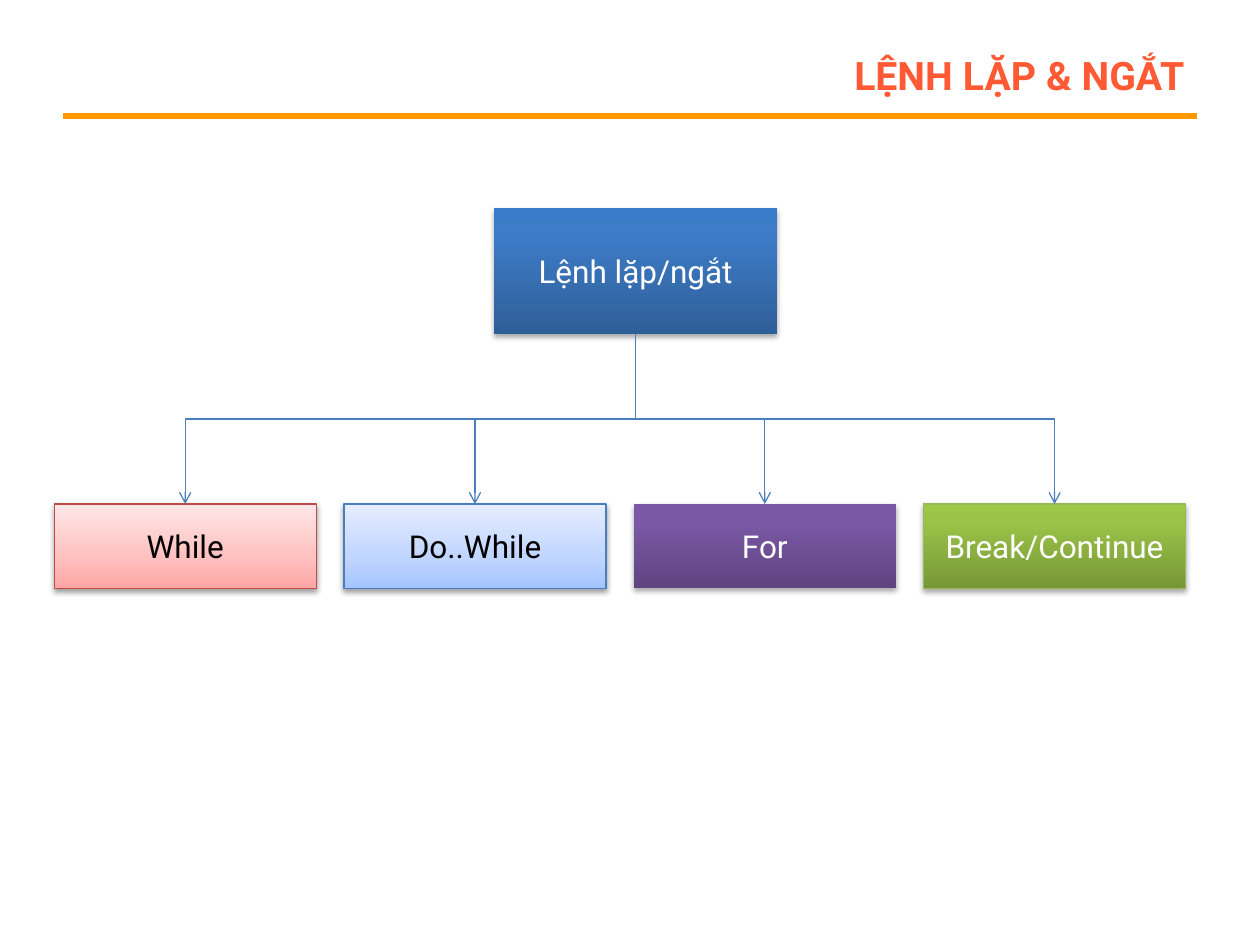
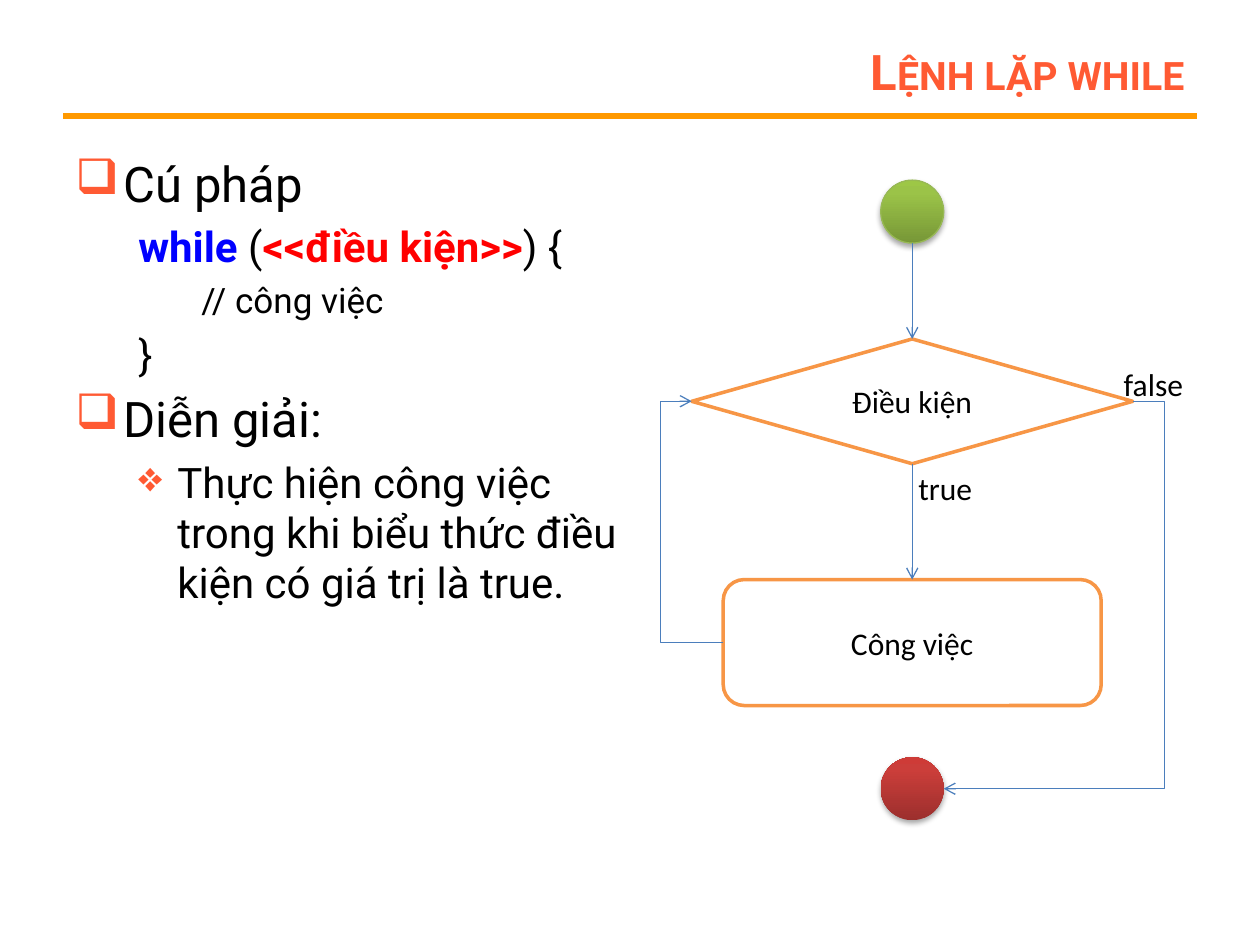
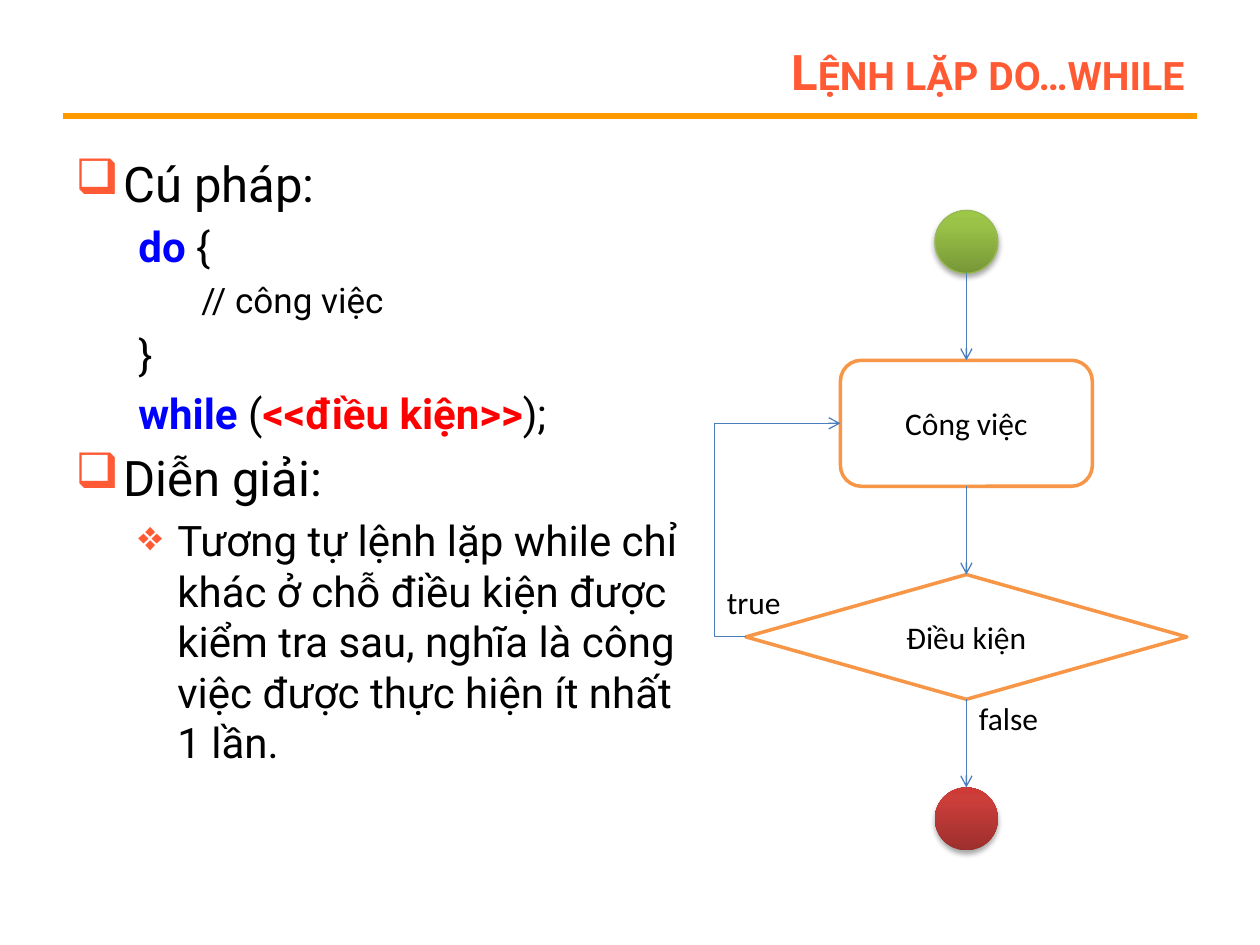
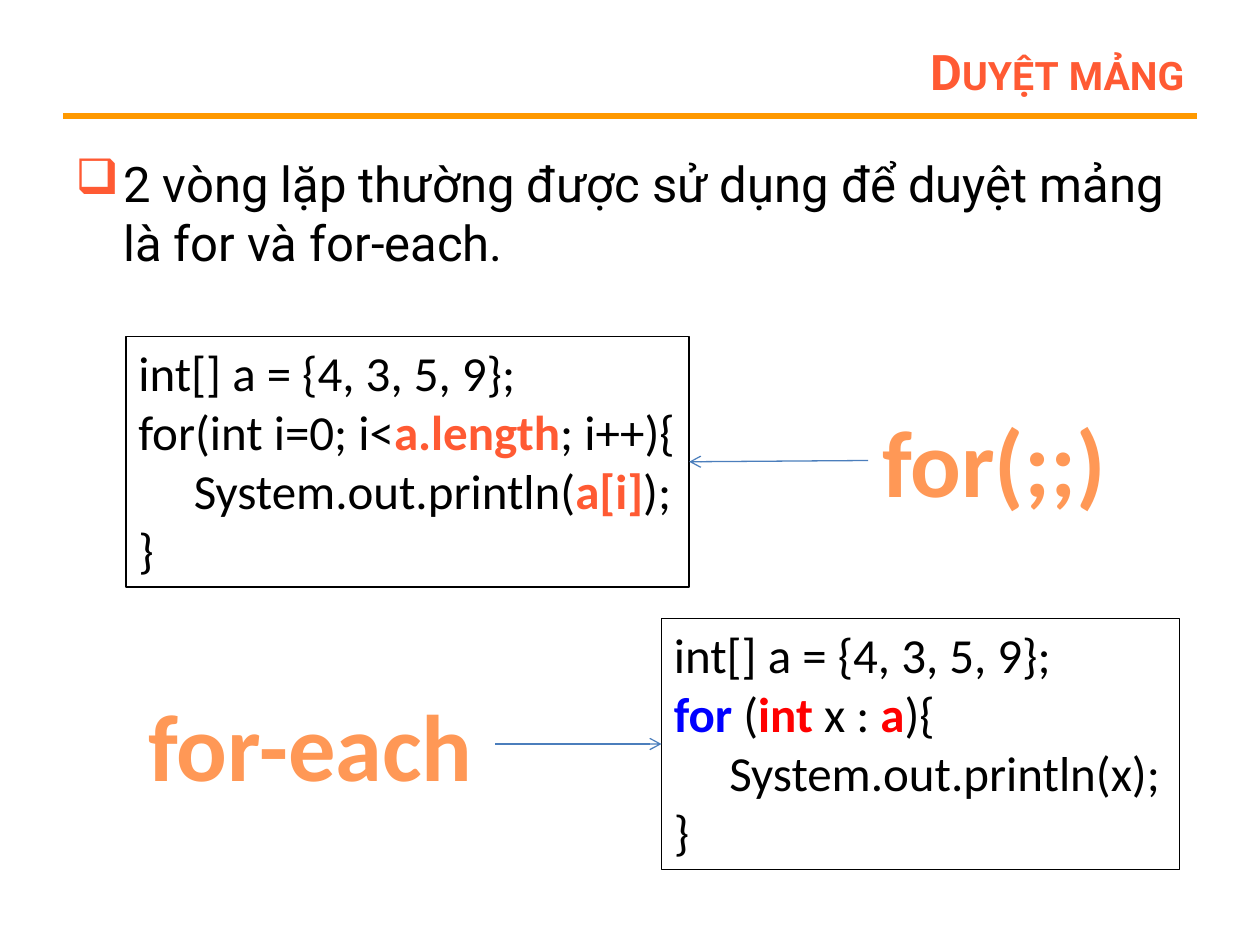
from pptx import Presentation
from pptx.dml.color import RGBColor
from pptx.enum.shapes import MSO_CONNECTOR, MSO_SHAPE
from pptx.enum.text import MSO_ANCHOR, MSO_AUTO_SIZE, PP_ALIGN
from pptx.oxml.ns import qn
from pptx.util import Pt
from lxml.etree import SubElement

PX = 9144  # 100 px to the inch

BLACK = RGBColor(0x00, 0x00, 0x00)
WHITE = RGBColor(0xFF, 0xFF, 0xFF)
CORAL = RGBColor(0xFF, 0x5A, 0x33)
AMBER = RGBColor(0xFF, 0x99, 0x00)
ORANGE = RGBColor(0xF7, 0x96, 0x46)
KEYWORD = RGBColor(0x00, 0x00, 0xFF)
RED = RGBColor(0xFF, 0x00, 0x00)
BLUE = RGBColor(0x4B, 0x7E, 0xBC)
BRICK = RGBColor(0xBF, 0x4C, 0x48)
OLIVE = RGBColor(0x98, 0xB9, 0x55)


def stops(middle, *colors):
    return list(zip((0, middle, 100), map(RGBColor.from_string, colors)))


BLUE_GRAD = stops(80, "2F5F99", "3D7CC7", "3A7CCB")
PURPLE_GRAD = stops(80, "5F4480", "7B58A6", "7C57A8")
GREEN_GRAD = stops(80, "779737", "9BC348", "9DC746")
RED_GRAD = stops(80, "9C2F2D", "CB3E3A", "CE3B37")
PINK_GRAD = stops(35, "FFA6A5", "FFC0BF", "FFE7E7")
SKY_GRAD = stops(35, "A4C4FF", "BFD4FF", "E6EEFF")
LABEL_GRAD = stops(78, "9D4700", "FF9856", "FFF5F1")

DARK_SHADOW = {"alpha": 35, "dist": 23000}
LIGHT_SHADOW = {"alpha": 38, "dist": 20000}

ROBOTO, CALIBRI = "Roboto", "Calibri"
HEADING = {"size": 28, "left": 38, "hang": 38, "bullet": "❑"}
POINT = {"size": 24, "left": 81, "hang": 31, "bullet": "❖"}
CODE = {"size": 24, "left": 50}
CODE_INNER = {"size": 20, "left": 100}
SNIPPET = {"size": 28, "font": CALIBRI}
SNIPPET_INNER = {**SNIPPET, "left": 44}


def px(*lengths):
    return [round(n * PX) for n in lengths]


def set_all(obj, **values):
    for name, value in values.items():
        setattr(obj, name, value)


def add_xml(parent, tag, **attrs):
    return SubElement(parent, qn(tag), {k: str(v) for k, v in attrs.items()})


def set_gradient(fill, element, grad, angle):
    fill.gradient()
    fill.gradient_angle = angle
    stop_list = next(element.iter(qn("a:gsLst")))
    for old in list(stop_list):
        stop_list.remove(old)
    for pos, color in grad:
        add_xml(add_xml(stop_list, "a:gs", pos=pos * 1000), "a:srgbClr", val=color)


def set_line(line, color, width=0.75):
    line.color.rgb = color
    line.width = Pt(width)


def add_shadow(sp, alpha, dist):
    effects = sp._element.spPr.find(qn("a:effectLst"))
    shadow = add_xml(effects, "a:outerShdw", blurRad=40000, dist=dist, dir=5400000, rotWithShape=0)
    add_xml(add_xml(shadow, "a:srgbClr", val=BLACK), "a:alpha", val=alpha * 1000)


def fill_paragraph(p, runs, size, font=ROBOTO, color=BLACK, align=PP_ALIGN.LEFT,
                   left=0, hang=0, bullet=None, space_pct=0):
    """A run is plain text, or a (text, colour) pair that is set in bold."""
    p.alignment = align
    pPr = p._p.get_or_add_pPr()
    pPr.set("marL", str(left * PX))
    pPr.set("indent", str(-hang * PX))
    if space_pct:
        add_xml(add_xml(pPr, "a:spcBef"), "a:spcPct", val=space_pct * 1000)
    if bullet:
        add_xml(add_xml(pPr, "a:buClr"), "a:srgbClr", val=CORAL)
        add_xml(pPr, "a:buChar", char=bullet)
    for run in runs:
        text, emphasis = (run, None) if isinstance(run, str) else run
        r = p.add_run()
        r.text = text
        set_all(r.font, name=font, size=Pt(size), bold=emphasis is not None)
        r.font.color.rgb = emphasis or color


def fill_text(sp, paragraphs, **common):
    """Each paragraph is a (format, run, run, ...) tuple."""
    tf = sp.text_frame
    for i, (style, *runs) in enumerate(paragraphs):
        p = tf.add_paragraph() if i else tf.paragraphs[0]
        fill_paragraph(p, runs, **{**common, **style})
    return sp


def add_text(s, box, paragraphs, wrap=True, anchor=MSO_ANCHOR.TOP, **common):
    sp = s.shapes.add_textbox(*px(*box))
    size_rule = MSO_AUTO_SIZE.NONE if wrap else MSO_AUTO_SIZE.SHAPE_TO_FIT_TEXT
    set_all(sp.text_frame, word_wrap=wrap, auto_size=size_rule, vertical_anchor=anchor)
    return fill_text(sp, paragraphs, **common)


def add_box(s, kind, box, fill, line=None, width=0.75, shadow=None, text=None,
            color=BLACK, font=ROBOTO):
    """The fill is one colour or a list of gradient stops."""
    sp = s.shapes.add_shape(kind, *px(*box))
    sp.shadow.inherit = False
    if isinstance(fill, list):
        set_gradient(sp.fill, sp._element.spPr, fill, 90)
    else:
        sp.fill.solid()
        sp.fill.fore_color.rgb = fill
    if line:
        set_line(sp.line, line, width)
    else:
        sp.line.fill.background()
    if shadow:
        add_shadow(sp, **shadow)
    if text:
        set_all(sp.text_frame, word_wrap=True, vertical_anchor=MSO_ANCHOR.MIDDLE)
        fill_text(sp, [({}, text)], size=18, font=font, color=color, align=PP_ALIGN.CENTER)
    return sp


def side_point(sp, side):
    fx, fy = {"top": (0.5, 0), "left": (0, 0.5), "bottom": (0.5, 1), "right": (1, 0.5)}[side]
    return round(sp.left + fx * sp.width), round(sp.top + fy * sp.height)


def add_line(s, kind, start, end, color, width=0.75):
    c = s.shapes.add_connector(kind, *start, *end)
    set_line(c.line, color, width)
    add_xml(c._element.spPr, "a:effectLst")
    return c


def add_arrow(s, kind, start, end):
    c = add_line(s, kind, start, end, BLUE)
    add_xml(c.line._get_or_add_ln(), "a:tailEnd", type="arrow")
    return c


def straight_arrow(s, a, side_a, b, side_b):
    add_arrow(s, MSO_CONNECTOR.STRAIGHT, side_point(a, side_a), side_point(b, side_b))


def loop_arrow(s, a, side_a, b, side_b, via_x):
    """Elbow that leaves sideways, runs along x = via_x and comes back."""
    start, end = side_point(a, side_a), side_point(b, side_b)
    c = add_arrow(s, MSO_CONNECTOR.ELBOW, start, end)
    bend = (via_x * PX - start[0]) / (end[0] - start[0])
    guides = next(c._element.iter(qn("a:avLst")))
    add_xml(guides, "a:gd", name="adj1", fmla=f"val {round(bend * 100000)}")


def tree_arrow(s, parent, child):
    """Elbow that leaves downwards: a sideways elbow turned a quarter."""
    (x1, y1), (x2, y2) = side_point(parent, "bottom"), side_point(child, "top")
    w, h = y2 - y1, abs(x2 - x1)
    left, top = (x1 + x2 - w) // 2, (y1 + y2 - h) // 2
    c = add_arrow(s, MSO_CONNECTOR.ELBOW, (left, top), (left + w, top + h))
    xfrm = c._element.spPr.find(qn("a:xfrm"))
    xfrm.set("rot", str((270 if x2 > x1 else 90) * 60000))
    if x2 > x1:
        xfrm.set("flipH", "1")


def add_titled_slide(prs, title):
    s = prs.slides.add_slide(prs.slide_layouts[6])
    add_line(s, MSO_CONNECTOR.STRAIGHT, px(50, 92), px(950, 92), AMBER, 3)
    sp = add_text(s, (225, 30, 725, 53), [({}, (title, CORAL))], size=28,
                  align=PP_ALIGN.RIGHT, anchor=MSO_ANCHOR.MIDDLE)
    sp.text_frame.paragraphs[0].runs[0].font._element.set("cap", "small")
    return s


def add_body(s, width, height, paragraphs):
    add_text(s, (50, 117, width, height), paragraphs, space_pct=20)


def add_start(s, left, top):
    return add_box(s, MSO_SHAPE.OVAL, (left, top, 50, 50), GREEN_GRAD, OLIVE, shadow=DARK_SHADOW)


def add_stop(s, left, top):
    return add_box(s, MSO_SHAPE.OVAL, (left, top, 50, 50), RED_GRAD, shadow=DARK_SHADOW)


def add_step(s, kind, box, text):
    return add_box(s, kind, box, WHITE, ORANGE, 2, text=text, font=CALIBRI)


def add_condition(s, left, top):
    return add_step(s, MSO_SHAPE.FLOWCHART_DECISION, (left, top, 350, 99), "Điều kiện")


def add_work(s, left, top, width):
    return add_step(s, MSO_SHAPE.ROUNDED_RECTANGLE, (left, top, width, 100), "Công việc")


def add_branch_label(s, left, top, text):
    width = {"true": 63, "false": 68}[text]
    add_text(s, (left, top, width, 40), [({}, text)], wrap=False, size=18, font=CALIBRI)


def add_snippet(s, box, paragraphs):
    sp = add_text(s, box, paragraphs, wrap=False)
    set_line(sp.line, BLACK)
    return sp


def add_big_label(s, box, text):
    sp = add_text(s, box, [({}, (text, ORANGE))], wrap=False, size=54, font=CALIBRI,
                  align=PP_ALIGN.CENTER)
    font = sp.text_frame.paragraphs[0].runs[0].font
    set_gradient(font.fill, font._element, LABEL_GRAD, 270)
    return sp


def overview_slide(prs):
    s = add_titled_slide(prs, "lệnh lặp & ngắt")
    root = add_box(s, MSO_SHAPE.RECTANGLE, (392, 165, 225, 100), BLUE_GRAD,
                   shadow=DARK_SHADOW, text="Lệnh lặp/ngắt", color=WHITE)
    commands = [
        ("While", PINK_GRAD, BRICK, LIGHT_SHADOW, BLACK),
        ("Do..While", SKY_GRAD, BLUE, LIGHT_SHADOW, BLACK),
        ("For", PURPLE_GRAD, None, DARK_SHADOW, WHITE),
        ("Break/Continue", GREEN_GRAD, OLIVE, DARK_SHADOW, WHITE),
    ]
    for i, (text, fill, line, shadow, color) in enumerate(commands):
        command = add_box(s, MSO_SHAPE.RECTANGLE, (43 + 230 * i, 400, 208, 67), fill, line,
                          shadow=shadow, text=text, color=color)
        tree_arrow(s, root, command)


def while_slide(prs):
    s = add_titled_slide(prs, "Lệnh lặp while")
    add_body(s, 467, 575, [
        (HEADING, "Cú pháp"),
        (CODE, ("while ", KEYWORD), "(", ("<<điều kiện>>", RED), ") {"),
        (CODE_INNER, "// công việc"),
        (CODE, "}"),
        (HEADING, "Diễn giải:"),
        (POINT, "Thực hiện công việc trong khi biểu thức điều kiện có giá trị là true."),
    ])
    start, stop = add_start(s, 699, 143), add_stop(s, 699, 601)
    condition = add_condition(s, 549, 269)
    work = add_work(s, 574, 460, 300)
    straight_arrow(s, start, "bottom", condition, "top")
    straight_arrow(s, condition, "bottom", work, "top")
    loop_arrow(s, work, "left", condition, "left", 524)
    loop_arrow(s, condition, "right", stop, "right", 924)
    add_branch_label(s, 719, 367, "true")
    add_branch_label(s, 882, 285, "false")


def do_while_slide(prs):
    s = add_titled_slide(prs, "Lệnh lặp do…while")
    add_body(s, 517, 575, [
        (HEADING, "Cú pháp:"),
        (CODE, ("do", KEYWORD), " {"),
        (CODE_INNER, "// công việc"),
        (CODE, "}"),
        (CODE, ("while", KEYWORD), " (", ("<<điều kiện>>", RED), ");"),
        (HEADING, "Diễn giải:"),
        (POINT, "Tương tự lệnh lặp while chỉ khác ở chỗ điều kiện được kiểm tra sau, "
                "nghĩa là công việc được thực hiện ít nhất 1 lần."),
    ])
    start, stop = add_start(s, 742, 167), add_stop(s, 742, 625)
    condition = add_condition(s, 592, 456)
    work = add_work(s, 667, 286, 200)
    straight_arrow(s, start, "bottom", work, "top")
    straight_arrow(s, work, "bottom", condition, "top")
    straight_arrow(s, condition, "bottom", stop, "top")
    loop_arrow(s, condition, "left", work, "left", 567)
    add_branch_label(s, 567, 458, "true")
    add_branch_label(s, 767, 550, "false")


def array_slide(prs):
    s = add_titled_slide(prs, "Duyệt mảng")
    add_body(s, 900, 117, [
        (HEADING, "2 vòng lặp thường được sử dụng để duyệt mảng là for và for-each."),
    ])
    declaration = (SNIPPET, "int[] a = {4, 3, 5, 9};")
    closing = (SNIPPET, "}")
    for_code = add_snippet(s, (100, 267, 447, 199), [
        declaration,
        (SNIPPET, "for(int i=0; i<", ("a.length", CORAL), "; i++){"),
        (SNIPPET_INNER, "System.out.println(", ("a[i]", CORAL), ");"),
        closing,
    ])
    each_code = add_snippet(s, (525, 491, 411, 199), [
        declaration,
        (SNIPPET, ("for", KEYWORD), " (", ("int ", RED), "x : ", ("a", RED), "){"),
        (SNIPPET_INNER, "System.out.println(x);"),
        closing,
    ])
    each_label = add_big_label(s, (100, 540, 293, 101), "for-each")
    for_label = add_big_label(s, (689, 315, 200, 101), "for(;;)")
    straight_arrow(s, for_label, "left", for_code, "right")
    straight_arrow(s, each_label, "right", each_code, "left")


def main():
    prs = Presentation()
    prs.slide_width, prs.slide_height = px(1000, 750)
    for build in (overview_slide, while_slide, do_while_slide, array_slide):
        build(prs)
    prs.save("out.pptx")


if __name__ == "__main__":
    main()
